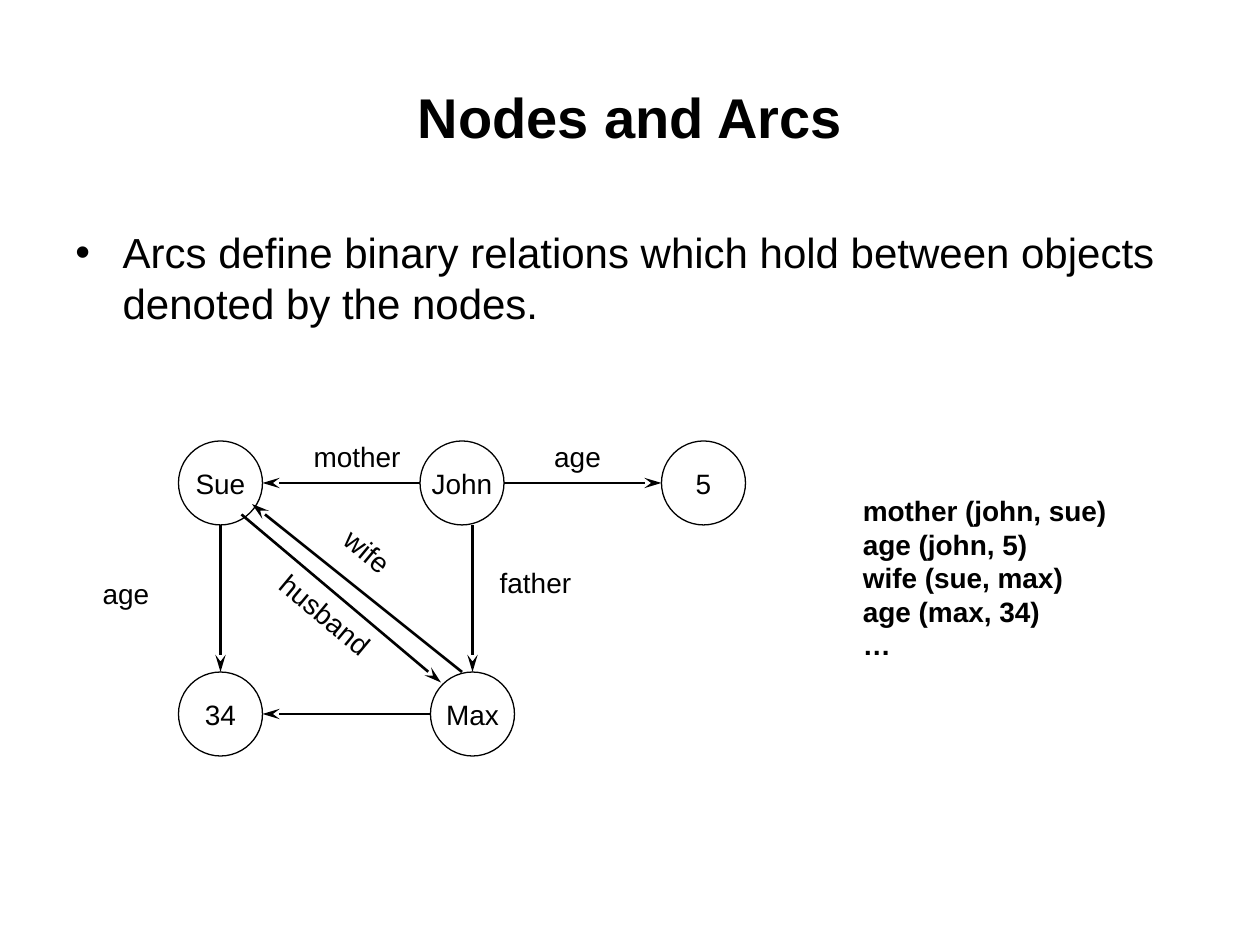
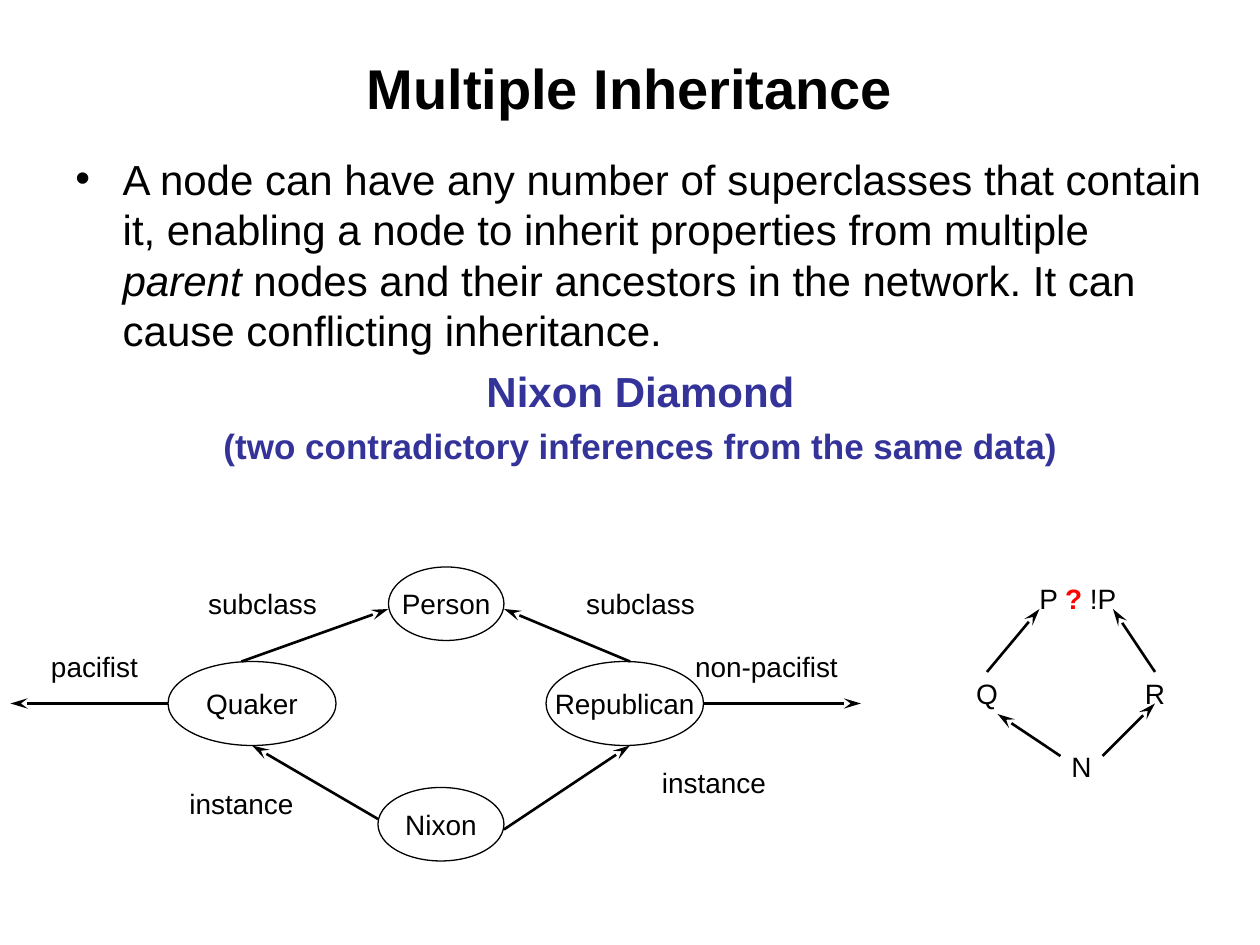
from dataclasses import dataclass
from typing import Optional

import lxml.etree
import pptx
import pptx.dml.color
import pptx.enum.shapes
import pptx.enum.text
import pptx.oxml.ns
import pptx.util

Pt = pptx.util.Pt
RGBColor = pptx.dml.color.RGBColor
Align = pptx.enum.text.PP_ALIGN
Anchor = pptx.enum.text.MSO_ANCHOR

FONT = "Arial"
BLACK = RGBColor(0x00, 0x00, 0x00)
INDIGO = RGBColor(0x33, 0x33, 0x99)
RED = RGBColor(0xFF, 0x00, 0x00)

TITLE_SIZE, BODY_SIZE, LABEL_SIZE = 32, 24, 16
MARGIN = 36
BULLET_INDENT = 27
DIAGONAL = 39.9  # slope of the wife and husband labels, in degrees


@dataclass(frozen=True)
class Piece:
    """A run of text; unset fields follow the paragraph."""
    text: str
    bold: Optional[bool] = None
    italic: Optional[bool] = None
    color: Optional[RGBColor] = None


@dataclass(frozen=True)
class Line:
    """A paragraph of text."""
    pieces: tuple[Piece, ...]
    size: float = LABEL_SIZE
    bold: bool = False
    color: RGBColor = BLACK
    align: Align = Align.CENTER
    space_before: float = 0
    bullet: bool = False


@dataclass(frozen=True)
class Node:
    pieces: tuple[Piece, ...]
    left: float
    top: float
    width: float = 48
    height: float = 48
    outlined: bool = True


@dataclass(frozen=True)
class Label:
    text: str
    left: float
    top: float
    rotation: float = 0
    width: float = 72
    height: float = 18


@dataclass(frozen=True)
class Arc:
    """An arrow from its tail to its tip."""
    tail: tuple[float, float]
    tip: tuple[float, float]


def plain(text: str) -> tuple[Piece, ...]:
    return (Piece(text),)


def add_bullet(paragraph) -> None:
    properties = paragraph._p.get_or_add_pPr()
    properties.set("marL", str(Pt(BULLET_INDENT)))
    properties.set("indent", str(-Pt(BULLET_INDENT)))
    for tag, name, value in (("a:buFont", "typeface", FONT), ("a:buChar", "char", "•")):
        lxml.etree.SubElement(properties, pptx.oxml.ns.qn(tag)).set(name, value)


def write(frame, lines: list[Line], anchor: Anchor, wrap: bool) -> None:
    frame.word_wrap = wrap
    frame.vertical_anchor = anchor
    for index, line in enumerate(lines):
        paragraph = frame.add_paragraph() if index else frame.paragraphs[0]
        paragraph.alignment = line.align
        if line.space_before:
            paragraph.space_before = Pt(line.space_before)
        if line.bullet:
            add_bullet(paragraph)
        font = paragraph.font
        font.name, font.size, font.bold = FONT, Pt(line.size), line.bold
        font.color.rgb = line.color
        for piece in line.pieces:
            run = paragraph.add_run()
            run.text = piece.text
            if piece.bold is not None:
                run.font.bold = piece.bold
            if piece.italic is not None:
                run.font.italic = piece.italic
            if piece.color is not None:
                run.font.color.rgb = piece.color


def add_text(slide, lines: list[Line], left: float, top: float, width: float,
             height: float, anchor: Anchor = Anchor.MIDDLE, wrap: bool = True):
    box = slide.shapes.add_textbox(Pt(left), Pt(top), Pt(width), Pt(height))
    write(box.text_frame, lines, anchor, wrap)
    return box


def add_title(slide, text: str, height: float) -> None:
    line = Line(plain(text), TITLE_SIZE, bold=True)
    add_text(slide, [line], MARGIN, 21.6, 648, height)


def add_node(slide, node: Node) -> None:
    oval = slide.shapes.add_shape(
        pptx.enum.shapes.MSO_SHAPE.OVAL,
        Pt(node.left), Pt(node.top), Pt(node.width), Pt(node.height))
    oval.shadow.inherit = False
    oval.fill.background()
    if node.outlined:
        oval.line.color.rgb = BLACK
        oval.line.width = Pt(0.75)
    else:
        oval.line.fill.background()
    write(oval.text_frame, [Line(node.pieces)], Anchor.MIDDLE, wrap=False)


def add_label(slide, label: Label) -> None:
    box = add_text(slide, [Line(plain(label.text))], label.left, label.top,
                   label.width, label.height, wrap=False)
    # The whole width is for the word, so that it stays on one line
    box.text_frame.margin_left = box.text_frame.margin_right = Pt(0)
    box.rotation = label.rotation


def add_arc(slide, arc: Arc) -> None:
    arrow = slide.shapes.add_connector(
        pptx.enum.shapes.MSO_CONNECTOR.STRAIGHT,
        *(Pt(length) for length in arc.tail + arc.tip))
    arrow.line.color.rgb = BLACK
    arrow.line.width = Pt(1.5)
    qn = pptx.oxml.ns.qn
    head = lxml.etree.SubElement(arrow.line._get_or_add_ln(), qn("a:tailEnd"))
    head.set("type", "stealth")
    head.set("len", "lg")
    lxml.etree.SubElement(arrow._element.spPr, qn("a:effectLst"))


def add_network(slide, nodes: list[Node], arcs: list[Arc], labels: list[Label]) -> None:
    for node in nodes:
        add_node(slide, node)
    for arc in arcs:
        add_arc(slide, arc)
    for label in labels:
        add_label(slide, label)


def build_nodes_and_arcs(slide) -> None:
    add_title(slide, "Nodes and Arcs", 90)
    definition = plain("Arcs define binary relations which hold between objects "
                       "denoted by the nodes.")
    add_text(slide, [Line(definition, BODY_SIZE, align=Align.LEFT, bullet=True)],
             MARGIN, 126, 648, 66, Anchor.TOP)

    # Family network
    upper, lower = 252, 384
    people = [("Sue", 102, upper), ("John", 240, upper), ("5", 378, upper),
              ("Max", 246, lower), ("34", 102, lower)]
    nodes = [Node(plain(name), left, top) for name, left, top in people]
    arcs = [
        Arc((240, 276), (150, 276)),  # mother
        Arc((288, 276), (378, 276)),  # age of John
        Arc((264, 384), (144, 288)),  # wife
        Arc((138, 294), (252, 390)),  # husband
        Arc((270, 300), (270, 384)),  # father
        Arc((126, 300), (126, 384)),  # age of Sue
        Arc((246, 408), (150, 408)),  # age of Max
    ]
    labels = [
        Label("mother", 168, upper),
        Label("age", 294, upper),
        Label("father", 270, 324),
        Label("age", 36, 330),
        Label("wife", 174, 306, DIAGONAL),
        Label("husband", 150, 342, DIAGONAL),
    ]
    add_network(slide, nodes, arcs, labels)

    # The same relations as predicates
    facts = ["mother (john, sue)", "age (john, 5)", "wife (sue, max)", "age (max, 34)", "…"]
    add_text(slide, [Line(plain(fact), bold=True, align=Align.LEFT) for fact in facts],
             486, 276, 174, 108)


def build_multiple_inheritance(slide) -> None:
    add_title(slide, "Multiple Inheritance", 56)
    explanation = (
        Piece("A node can have any number of superclasses that contain it, "
              "enabling a node to inherit properties from multiple "),
        Piece("parent", italic=True),
        Piece(" nodes and their ancestors in the network. "
              "It can cause conflicting inheritance."),
    )
    add_text(slide, [
        Line(explanation, BODY_SIZE, align=Align.LEFT, bullet=True),
        Line(plain("Nixon Diamond"), BODY_SIZE, True, INDIGO, space_before=6),
        Line(plain("(two contradictory inferences from the same data)"),
             20, True, INDIGO, space_before=5),
    ], MARGIN, 84, 660, 198, Anchor.TOP)

    # Nixon diamond
    nodes = [
        Node(plain("Person"), 222, 324, 66, 42),
        Node(plain("Quaker"), 96, 378, 96),
        Node(plain("Republican"), 312, 378, 90),
        Node(plain("Nixon"), 216, 450, 72, 42),
    ]
    arcs = [
        Arc((138, 378), (222, 348)),  # Quaker to Person
        Arc((360, 378), (288, 348)),  # Republican to Person
        Arc((216, 468), (144, 426)),  # Nixon to Quaker
        Arc((288, 474), (360, 426)),  # Nixon to Republican
        Arc((96, 402), (6, 402)),     # pacifist
        Arc((402, 402), (492, 402)),  # non-pacifist
    ]
    labels = [
        Label("subclass", 114, 336),
        Label("subclass", 330, 336),
        Label("pacifist", 18, 372),
        Label("non-pacifist", 390, 372, width=96),
        Label("instance", 102, 450),
        Label("instance", 372, 438),
    ]
    add_network(slide, nodes, arcs, labels)

    # Abbreviated diamond
    conflict = (Piece("P "), Piece("? ", bold=True, color=RED), Piece("!P "))
    initials = [
        Node(conflict, 558, 318, 120, outlined=False),
        Node(plain("Q"), 540, 372, outlined=False),
        Node(plain("R"), 636, 372, outlined=False),
        Node(plain("N"), 594, 414, outlined=False),
    ]
    initial_arcs = [
        Arc((564, 384), (594, 348)),  # Q to P
        Arc((660, 384), (636, 348)),  # R to !P
        Arc((606, 432), (570, 408)),  # N to Q
        Arc((630, 432), (660, 402)),  # N to R
    ]
    add_network(slide, initials, initial_arcs, [])


def main() -> None:
    deck = pptx.Presentation()
    deck.slide_width, deck.slide_height = Pt(720), Pt(540)
    blank = deck.slide_layouts[6]
    for build in (build_nodes_and_arcs, build_multiple_inheritance):
        build(deck.slides.add_slide(blank))
    deck.save("out.pptx")


if __name__ == "__main__":
    main()
